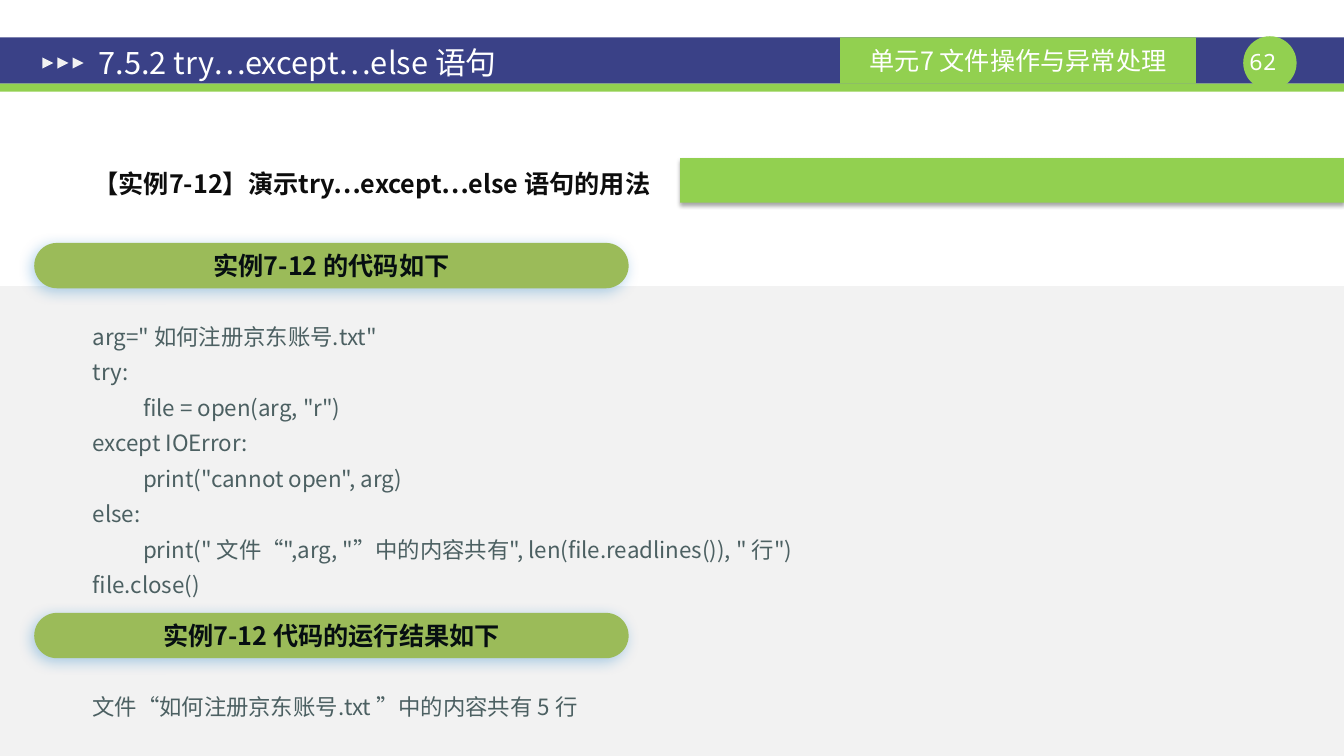
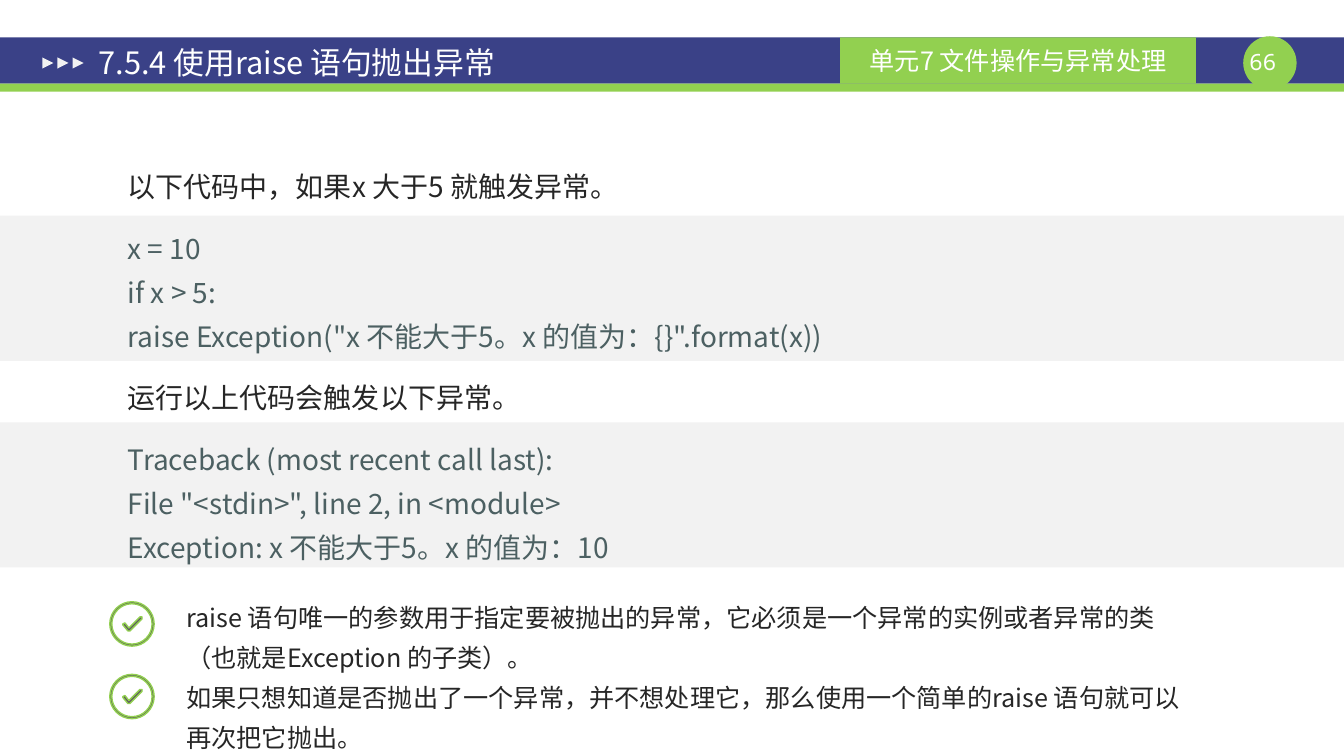
import pptx
import pptx.util
import pptx.dml.color
import pptx.enum.shapes
import pptx.enum.text
import pptx.oxml.ns
import lxml.etree

RGB = pptx.dml.color.RGBColor
KIND = pptx.enum.shapes.MSO_SHAPE
ALIGN = pptx.enum.text.PP_ALIGN
ANCHOR = pptx.enum.text.MSO_ANCHOR
FIT = pptx.enum.text.MSO_AUTO_SIZE
qn = pptx.oxml.ns.qn

PX = 9144
WIDE, HIGH = 1334, 750
SANS, MONO = "Noto Sans CJK SC", "Noto Sans Mono"
NAVY = RGB(0x3A, 0x41, 0x87)
LIME = RGB(0x92, 0xD0, 0x50)
OLIVE = RGB(0x9B, 0xBB, 0x59)
PALE = RGB(0xF2, 0xF2, 0xF2)
WHITE = RGB(0xFF, 0xFF, 0xFF)
INK = RGB(0x06, 0x0E, 0x11)
BLACK = RGB(0x0D, 0x0D, 0x0D)
DARK = RGB(0x26, 0x26, 0x26)
SLATE = RGB(0x4C, 0x60, 0x62)
GREY = RGB(0x5E, 0x5E, 0x5E)
BLUE = RGB(0x00, 0x70, 0xC0)
SHADE = RGB(0, 0, 0)

GLOW = (BLUE, 30, 10, 3, 135)
DROP = (SHADE, 35, 3.1, 1.8, 90)
LEAD = 1.32
INDENT, TAB = 50, 133

UNIT = "单元7 文件操作与异常处理"
ELSE = {
    "title": "7.5.2 try…except…else 语句",
    "page": "62",
    "head": "【实例7-12】演示try…except…else 语句的用法",
    "pills": [(241, "实例7-12 的代码如下"), (608, "实例7-12 代码的运行结果如下")],
    "code": [
        "arg=\" 如何注册京东账号.txt\"",
        "try:",
        "\tfile = open(arg, \"r\")",
        "except IOError:",
        "\tprint(\"cannot open\", arg)",
        "else:",
        "\tprint(\" 文件“\",arg, \"”中的内容共有\", len(file.readlines()), \" 行\")",
        "file.close()",
    ],
    "result": "文件“如何注册京东账号.txt ”中的内容共有 5 行",
}
RAISE = {
    "title": "7.5.4 使用raise 语句抛出异常",
    "page": "66",
    "blocks": [
        (DARK, ["以下代码中，如果x 大于5 就触发异常。"]),
        (SLATE, [
            "x = 10",
            "if x > 5:",
            "raise Exception(\"x 不能大于5。x 的值为：{}\".format(x))",
        ]),
        (DARK, ["运行以上代码会触发以下异常。"]),
        (SLATE, [
            "Traceback (most recent call last):",
            "File \"<stdin>\", line 2, in <module>",
            "Exception: x 不能大于5。x 的值为：10",
        ]),
    ],
    "points": [
        "raise 语句唯一的参数用于指定要被抛出的异常，它必须是一个异常的实例或者异常的类（也就是Exception 的子类）。",
        "如果只想知道是否抛出了一个异常，并不想处理它，那么使用一个简单的raise 语句就可以再次把它抛出。",
    ],
}
TICK = [(8, -7), (-3, 4), (-7, -1), (-9, 0), (-9, 1), (-4, 7),
        (-2, 7), (10, -5), (10, -7)]


def place(shape, box):
    shape.left, shape.top, shape.width, shape.height = [n * PX for n in box]


def write(shape, blocks, size, lead=None, indent=0, align=ALIGN.LEFT,
          bold=False, face=SANS):
    frame = shape.text_frame
    frame.word_wrap = True
    rows = [(hue, line, num == 0)
            for hue, lines in blocks for num, line in enumerate(lines)]
    frame.text = "\n".join(line for _, line, _ in rows)
    for num, (para, (hue, _, first)) in enumerate(zip(frame.paragraphs, rows)):
        para.alignment = align
        para.space_before = pptx.util.Pt(12 if first and num else 0)
        if lead:
            para.line_spacing = lead
        font = para.runs[0].font
        font.size, font.bold, font.name = pptx.util.Pt(size), bold, face
        font.color.rgb = hue
    for prop, (_, line, _) in zip(shape.element.iter(qn("a:pPr")), rows):
        prop.set("marL", "0")
        prop.set("indent", str(indent * PX))
        if shape.is_placeholder:
            lxml.etree.SubElement(prop, qn("a:buNone"))
        if line.startswith("\t"):
            tabs = lxml.etree.SubElement(prop, qn("a:tabLst"))
            lxml.etree.SubElement(tabs, qn("a:tab"), pos=str(TAB * PX), algn="l")
    for prop in shape.element.iter(qn("a:rPr")):
        lxml.etree.SubElement(prop, qn("a:ea"), typeface=face)


def paint(shape, hue, cast=None):
    shape.fill.solid()
    shape.fill.fore_color.rgb = hue
    shape.line.fill.background()
    shape.shadow.inherit = False
    if cast:
        tint, alpha, blur, dist, turn = cast
        effects = shape.element.find(".//" + qn("a:effectLst"))
        outer = lxml.etree.SubElement(
            effects, qn("a:outerShdw"), blurRad=str(round(blur * 12700)),
            dist=str(round(dist * 12700)), dir=str(turn * 60000),
            algn="ctr", rotWithShape="0")
        color = lxml.etree.SubElement(outer, qn("a:srgbClr"), val=str(tint))
        lxml.etree.SubElement(color, qn("a:alpha"), val=str(alpha * 1000))


def draw(slide, kind, box, hue, cast=None):
    shape = slide.shapes.add_shape(kind, *[n * PX for n in box])
    paint(shape, hue, cast)
    return shape


def label(slide, box, blocks, size, **style):
    shape = slide.shapes.add_textbox(*[n * PX for n in box])
    write(shape, blocks, size, **style)
    shape.text_frame.auto_size = FIT.SHAPE_TO_FIT_TEXT
    return shape


def pill(slide, top, text):
    shape = draw(slide, KIND.ROUNDED_RECTANGLE, (34, top, 590, 45), OLIVE, GLOW)
    shape.adjustments[0] = 0.5
    shape.text_frame.vertical_anchor = ANCHOR.MIDDLE
    write(shape, [(INK, [text])], 18, align=ALIGN.CENTER, bold=True)


def ring(r):
    k = 0.55 * r
    return [(0, -r), (-k, -r), (-r, -k), (-r, 0), (-r, k), (-k, r), (0, r),
            (k, r), (r, k), (r, 0), (r, -k), (k, -r), (0, -r)]


def curve(shape, count):
    lines = list(shape.element.iter(qn("a:lnTo")))[:count]
    for num in range(0, count, 3):
        bend = lxml.etree.Element(qn("a:cubicBezTo"))
        lines[num].addprevious(bend)
        for line in lines[num:num + 3]:
            bend.append(line[0])
            line.getparent().remove(line)


def check(slide, x, y):
    loops = [[(round((x + a) * PX), round((y + b) * PX)) for a, b in loop]
             for loop in (ring(22), ring(20)[::-1], TICK)]
    pen = slide.shapes.build_freeform(*loops[0][0])
    for num, loop in enumerate(loops):
        if num:
            pen.move_to(*loop[0])
        pen.add_line_segments(loop[1:], close=True)
    shape = pen.convert_to_shape()
    curve(shape, 24)
    paint(shape, GREY)
    shape.line.color.rgb = LIME
    shape.line.width = pptx.util.Pt(1)


def dress(layout, slide):
    for hold in list(layout.placeholders):
        if hold.placeholder_format.idx >= 10:
            layout.shapes.element.remove(hold.element)
    title = layout.placeholders[0]
    place(title, (85, 40, 720, 44))
    frame = title.text_frame
    frame.auto_size = FIT.NONE
    frame.vertical_anchor = ANCHOR.MIDDLE
    frame.margin_left = frame.margin_right = 13 * PX
    frame.margin_top = frame.margin_bottom = 7 * PX
    band = [draw(slide, KIND.RECTANGLE, (0, 37, WIDE, 46), NAVY),
            draw(slide, KIND.RECTANGLE, (0, 83, WIDE, 8), LIME),
            draw(slide, KIND.OVAL, (1234, 36, 53, 53), LIME)]
    unit = draw(slide, KIND.RECTANGLE, (834, 37, 353, 46), LIME)
    unit.text_frame.vertical_anchor = ANCHOR.MIDDLE
    write(unit, [(WHITE, [UNIT])], 18, align=ALIGN.CENTER)
    band.append(unit)
    for num in range(3):
        mark = draw(slide, KIND.ISOSCELES_TRIANGLE,
                    (42 + 15 * num, 57, 11, 11), PALE)
        mark.rotation = 90
        band.append(mark)
    for shape in band:
        layout.shapes.element.append(shape.element)


def begin(slide, data):
    write(slide.shapes.title, [(WHITE, [data["title"]])], 22)
    page = label(slide, (1227, 48, 53, 27), [(WHITE, [data["page"]])], 16,
                 align=ALIGN.CENTER, face=MONO)
    frame = page.text_frame
    frame.margin_left = frame.margin_right = 0
    frame.margin_top = frame.margin_bottom = 0


def fill(slide, box, lines, hue, size, indent=0):
    body = slide.placeholders[1]
    place(body, box)
    write(body, [(hue, lines)], size, lead=LEAD, indent=indent)
    body.text_frame.auto_size = FIT.SHAPE_TO_FIT_TEXT
    slide.shapes.element.append(body.element)


def show_else(slide, data):
    begin(slide, data)
    draw(slide, KIND.RECTANGLE, (-1, 284, WIDE + 1, HIGH - 284), PALE)
    for top, text in data["pills"]:
        pill(slide, top, text)
    fill(slide, (32, 307, 1327, 294), data["code"], SLATE, 16, INDENT)
    label(slide, (33, 153, 1281, 46), [(BLACK, [data["head"]])], 18,
          lead=LEAD, indent=INDENT, bold=True)
    draw(slide, KIND.RECTANGLE, (675, 157, WIDE - 675, 44), LIME, DROP)
    label(slide, (32, 674, 1327, 42), [(SLATE, [data["result"]])], 16,
          lead=LEAD, indent=INDENT)


def show_raise(slide, data):
    begin(slide, data)
    for top in (419, 214):
        draw(slide, KIND.RECTANGLE, (-1, top, WIDE + 1, 144), PALE)
    label(slide, (67, 153, 1183, 433), data["blocks"], 20,
          lead=LEAD, indent=INDENT)
    fill(slide, (175, 583, 1025, 170), data["points"], DARK, 18)
    for num in range(len(data["points"])):
        check(slide, 131, 619 + 72 * num)


def main():
    deck = pptx.Presentation()
    deck.slide_width, deck.slide_height = WIDE * PX, HIGH * PX
    layout = deck.slide_layouts[1]
    first, second = [deck.slides.add_slide(layout) for _ in range(2)]
    dress(layout, first)
    show_else(first, ELSE)
    show_raise(second, RAISE)
    deck.save("out.pptx")


if __name__ == "__main__":
    main()
